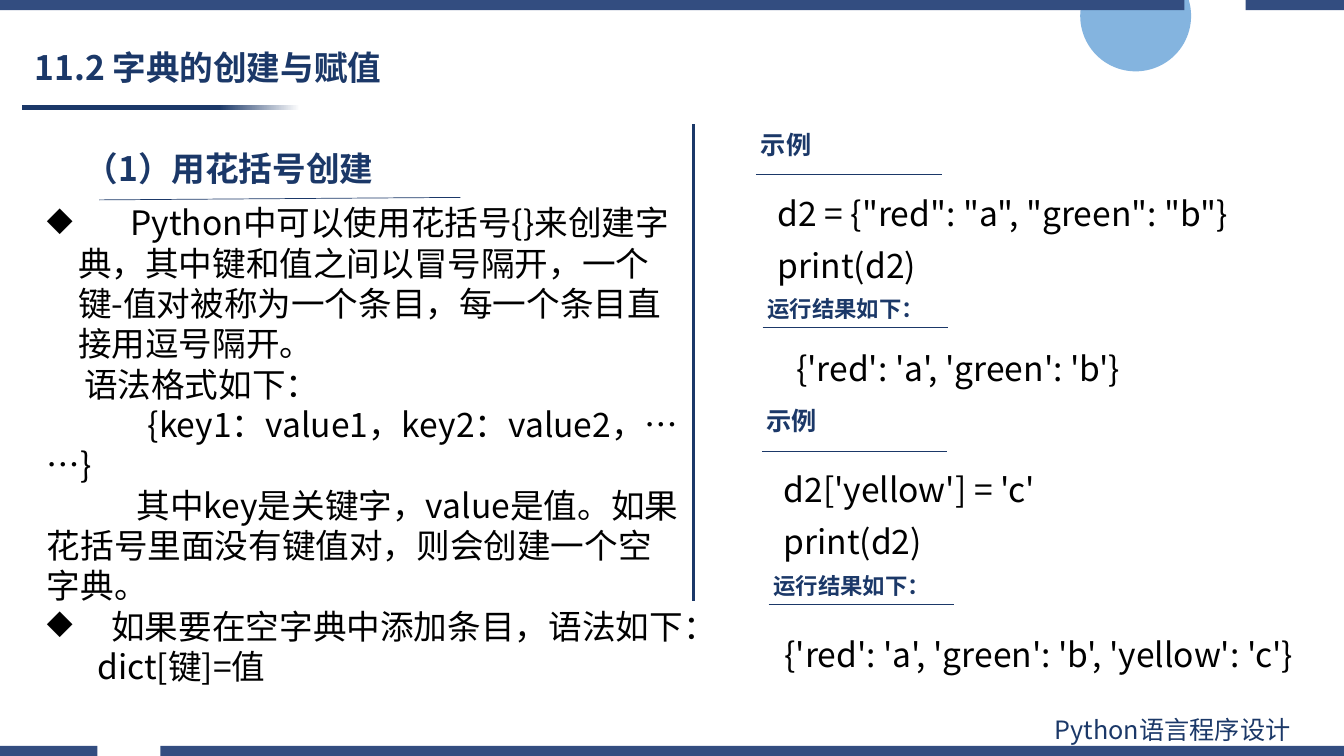
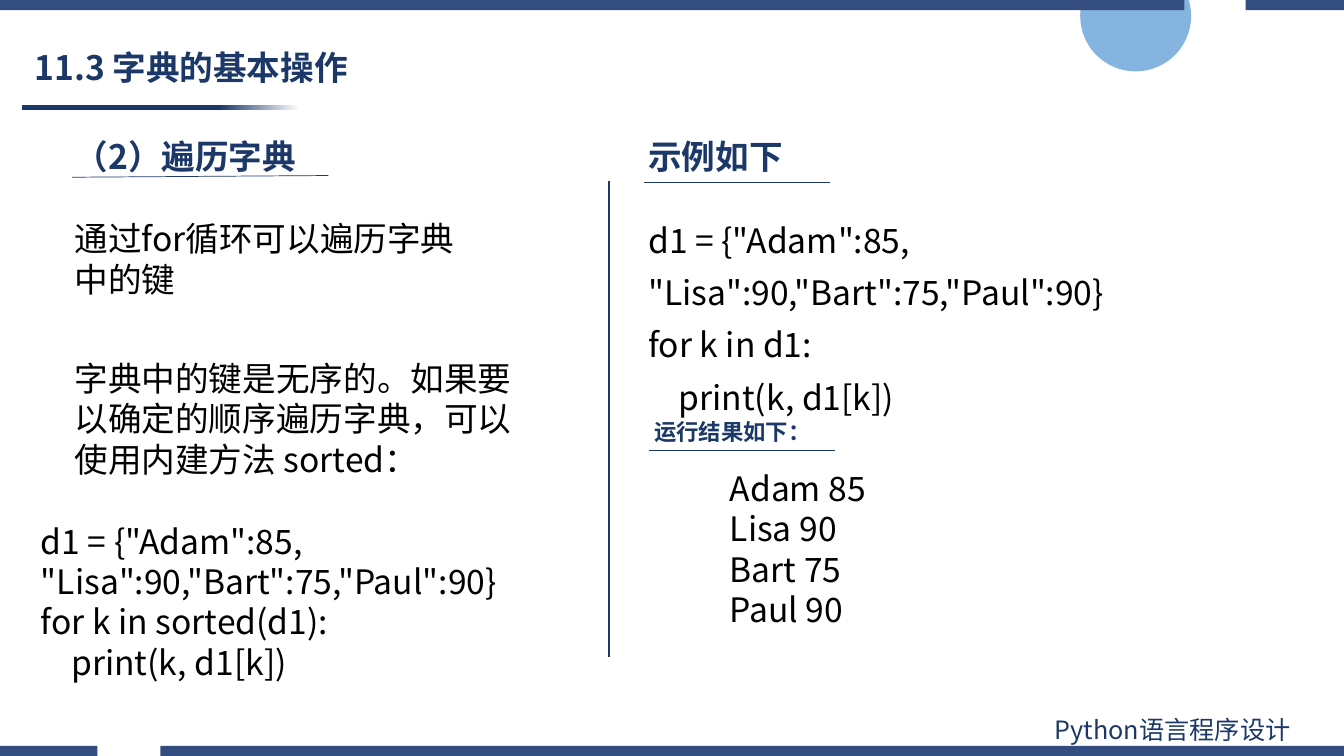
from dataclasses import dataclass

from lxml import etree
from pptx import Presentation
from pptx.dml.color import RGBColor
from pptx.enum.shapes import MSO_CONNECTOR, MSO_SHAPE
from pptx.enum.text import MSO_ANCHOR, MSO_AUTO_SIZE, PP_ALIGN
from pptx.oxml.ns import qn
from pptx.util import Inches, Pt

OVAL = MSO_SHAPE.OVAL
RECTANGLE = MSO_SHAPE.RECTANGLE
STRAIGHT = MSO_CONNECTOR.STRAIGHT
MIDDLE = MSO_ANCHOR.MIDDLE
GROW = MSO_AUTO_SIZE.SHAPE_TO_FIT_TEXT
LEFT = PP_ALIGN.LEFT
JUSTIFY = PP_ALIGN.JUSTIFY

COLUMNS = 16
TITLE_ONLY = 5


@dataclass(frozen=True)
class Theme:
    font: str = "Noto Sans CJK SC"
    navy: RGBColor = RGBColor(0x1B, 0x38, 0x68)
    band: RGBColor = RGBColor(0x33, 0x4D, 0x80)
    circle: RGBColor = RGBColor(0x5B, 0x9B, 0xD5)
    ink: RGBColor = RGBColor(0, 0, 0)
    paper: RGBColor = RGBColor(0xFF, 0xFF, 0xFF)
    body: int = 24
    label: int = 18
    result: int = 16
    hairline: float = 0.5
    divider: int = 2
    code_spacing: float = 1.3


@dataclass(frozen=True)
class Para:
    text: str
    margin: float = 0
    indent: float = 0
    bullet: str = ""
    lead: int = 0
    align: PP_ALIGN = LEFT


class Deck:
    def __init__(self, theme):
        self.theme = theme
        self.prs = Presentation()
        self.prs.slide_width = Inches(13.333)
        self.prs.slide_height = Inches(7.5)
        self.cell = self.prs.slide_width / COLUMNS
        self.layout = self.prs.slide_layouts[TITLE_ONLY]
        self.s = None

    def emu(self, *cells):
        return [round(c * self.cell) for c in cells]

    def style(self, r, size, color, bold=False):
        r.font.size = Pt(size)
        r.font.bold = bold
        r.font.color.rgb = color
        r.font.name = self.theme.font
        ea = etree.SubElement(r.font._element, qn("a:ea"))
        ea.set("typeface", self.theme.font)

    def slide(self, title):
        first = self.s is None
        self.s = self.prs.slides.add_slide(self.layout)
        if first:
            self.furnish_layout()
        sp = self.s.shapes.title
        sp.left, sp.top, sp.width, sp.height = self.emu(0.29, 0.49, 7.25, 0.67)
        tf = sp.text_frame
        tf.text = title
        tf.vertical_anchor = MIDDLE
        p = tf.paragraphs[0]
        p.alignment = LEFT
        p.line_spacing = 0.9
        self.style(p.runs[0], self.theme.body, self.theme.navy, True)

    def furnish_layout(self):
        t = self.theme
        circle = self.shape(OVAL, 12.86, -0.47, 1.32, 1.32)
        circle.fill.solid()
        circle.fill.fore_color.rgb = t.circle
        color = circle.element.spPr.find(".//" + qn("a:srgbClr"))
        etree.SubElement(color, qn("a:alpha")).set("val", "75000")

        underline = self.shape(RECTANGLE, 0.26, 1.25, 3.31, 0.06)
        underline.fill.gradient()
        underline.fill.gradient_angle = 0
        stops = zip(underline.fill.gradient_stops, (0.71, 1), (t.navy, t.paper))
        for stop, position, rgb in stops:
            stop.position = position
            stop.color.rgb = rgb

        furniture = [
            circle,
            underline,
            self.band(8.88, 1.16, 1.91),
            self.band(0, 14.1, 14.83),
            self.text((12.44, 8.45, 3.53, 0.48), ["Python语言程序设计"], t.label, t.navy),
        ]
        for number, sp in enumerate(furniture, 101):
            sp.element.nvSpPr.cNvPr.set("id", str(number))
            self.layout.shapes.element.append(sp.element)

    def shape(self, kind, *box):
        sp = self.s.shapes.add_shape(kind, *self.emu(*box))
        sp.shadow.inherit = False
        sp.line.fill.background()
        return sp

    def band(self, top, gap_start, gap_end):
        y1, y2 = self.emu(top, top + 0.12)
        spans = [self.emu(0, gap_start), self.emu(gap_end, COLUMNS)]
        builder = self.s.shapes.build_freeform(spans[0][0], y1)
        for x1, x2 in spans:
            if x1:
                builder.move_to(x1, y1)
            builder.add_line_segments([(x2, y1), (x2, y2), (x1, y2)], close=True)
        sp = builder.convert_to_shape()
        sp.shadow.inherit = False
        sp.line.fill.background()
        sp.fill.solid()
        sp.fill.fore_color.rgb = self.theme.band
        return sp

    def text(self, box, lines, size=None, color=None, bold=False, spacing=None):
        sp = self.s.shapes.add_textbox(*self.emu(*box))
        tf = sp.text_frame
        tf.word_wrap = True
        tf.auto_size = GROW
        for i, line in enumerate(lines):
            para = line if isinstance(line, Para) else Para(line)
            p = tf.paragraphs[0] if i == 0 else tf.add_paragraph()
            self.fill_paragraph(p, para, spacing)
            for r in p.runs:
                self.style(r, size or self.theme.body, color or self.theme.ink, bold)
        return sp

    def fill_paragraph(self, p, para, spacing):
        if para.lead:
            r = p.add_run()
            r.text = " "
            r.font._element.set("spc", str(para.lead * 100))
        p.add_run().text = para.text
        p.alignment = para.align
        if spacing:
            p.line_spacing = spacing
        pPr = p._p.get_or_add_pPr()
        pPr.set("marL", str(Inches(para.margin)))
        pPr.set("indent", str(Inches(para.indent)))
        if para.bullet:
            etree.SubElement(pPr, qn("a:buChar")).set("char", para.bullet)

    def code(self, box, lines):
        self.text(box, lines, spacing=self.theme.code_spacing)

    def heading(self, x, y, width, text):
        self.text((x, y, width, 0.6), [text], color=self.theme.navy, bold=True)

    def line(self, x1, y1, x2, y2, weight=None):
        cn = self.s.shapes.add_connector(STRAIGHT, *self.emu(x1, y1, x2, y2))
        cn.line.color.rgb = self.theme.navy
        cn.line.width = Pt(weight or self.theme.hairline)
        etree.SubElement(cn.element.spPr, qn("a:effectLst"))

    def divider(self, x, top, bottom):
        self.line(x, top, x, bottom, self.theme.divider)

    def rule(self, x, y):
        self.line(x, y, x + 2.21, y)

    def result_label(self, x, y):
        t = self.theme
        self.text((x, y, 3.28, 0.44), ["运行结果如下："], t.result, t.navy, True)
        self.rule(x + 0.06, y + 0.44)

    def example(self, x, y, lines):
        t = self.theme
        self.text((x, y, 2.53, 0.48), ["示例"], t.label, t.navy, True)
        self.rule(x + 0.06, y + 0.6)
        self.code((x + 0.2, y + 0.61, 6.56, 1.38), lines)
        self.result_label(x + 0.08, y + 1.98)


def creation_slide(deck):
    deck.slide("11.2 字典的创建与赋值")
    deck.heading(0.89, 1.7, 4.08, "（1）用花括号创建")
    deck.text((0.44, 2.35, 7.81, 5.45), [
        Para("Python中可以使用花括号{}来创建字典，其中键和值之间以冒号隔开，"
             "一个键-值对被称为一个条目，每一个条目直接用逗号隔开。",
             margin=0.31, indent=-0.31, bullet="◆", lead=32),
        Para("语法格式如下：", indent=0.37),
        Para("{key1：value1，key2：value2，… …}", indent=1),
        Para("其中key是关键字，value是值。如果花括号里面没有键值对，"
             "则会创建一个空字典。", indent=0.89),
        Para("如果要在空字典中添加条目，语法如下：\tdict[键]=值",
             indent=-0.5, bullet="◆", lead=22, align=JUSTIFY),
    ])
    deck.line(1.18, 2.38, 5.48, 2.35)
    deck.divider(8.26, 1.48, 7.16)
    examples = [
        ['d2 = {"red": "a", "green": "b"}', "print(d2)"],
        ["d2['yellow'] = 'c'", "print(d2)"],
    ]
    for i, lines in enumerate(examples):
        deck.example(8.94 + 0.07 * i, 1.48 + 3.29 * i, lines)
    deck.text((9.36, 4.08, 6.6, 0.6), ["{'red': 'a', 'green': 'b'}"])
    deck.text((9.22, 7.49, 6.75, 0.6), ["{'red': 'a', 'green': 'b', 'yellow': 'c'}"])


def traversal_slide(deck):
    scores = 'd1 = {"Adam":85, "Lisa":90,"Bart":75,"Paul":90}'
    show = Para("print(k, d1[k])", indent=0.3)
    deck.slide("11.3 字典的基本操作")
    deck.heading(0.77, 1.56, 4.08, "（2）遍历字典")
    deck.line(0.86, 2.11, 3.91, 2.09)
    deck.text((0.77, 2.54, 4.81, 1.09), ["通过for循环可以遍历字典中的键"])
    deck.text((0.77, 4.2, 5.6, 1.57), [
        "字典中的键是无序的。如果要以确定的顺序遍历字典，可以使用内建方法 sorted："])
    deck.text((0.37, 6.14, 8, 1.57), [scores, "for k in sorted(d1):", show])
    deck.divider(7.25, 2.15, 7.82)
    deck.heading(7.6, 1.56, 2.53, "示例如下")
    deck.rule(7.67, 2.17)
    deck.code((7.6, 2.41, 8.29, 2.02), [scores, "for k in d1:", show])
    deck.result_label(7.67, 4.92)
    deck.text((8.57, 5.51, 4.64, 2.06), ["Adam 85", "Lisa 90", "Bart 75", "Paul 90"])


def main():
    deck = Deck(Theme())
    creation_slide(deck)
    traversal_slide(deck)
    deck.prs.save("out.pptx")


if __name__ == "__main__":
    main()
